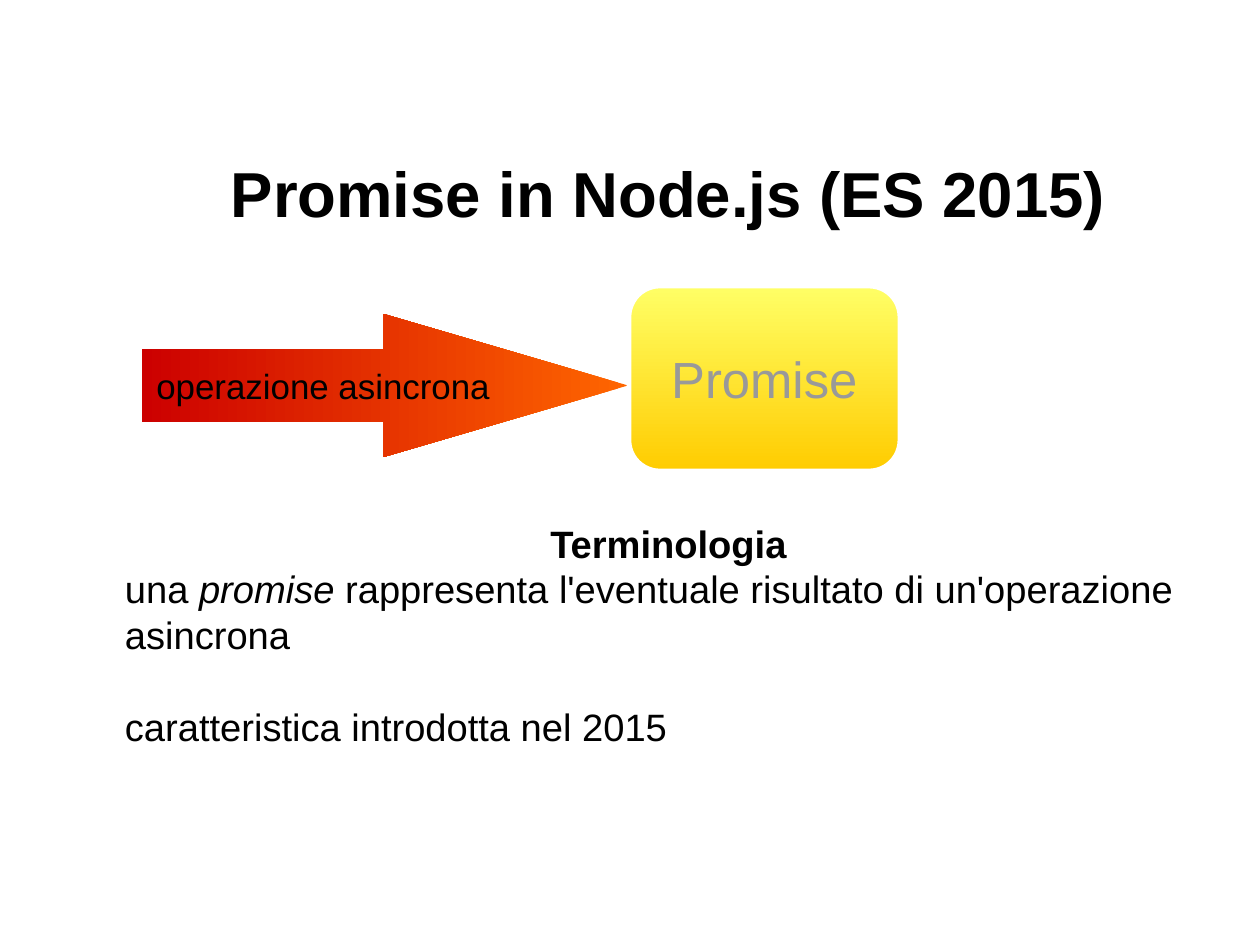
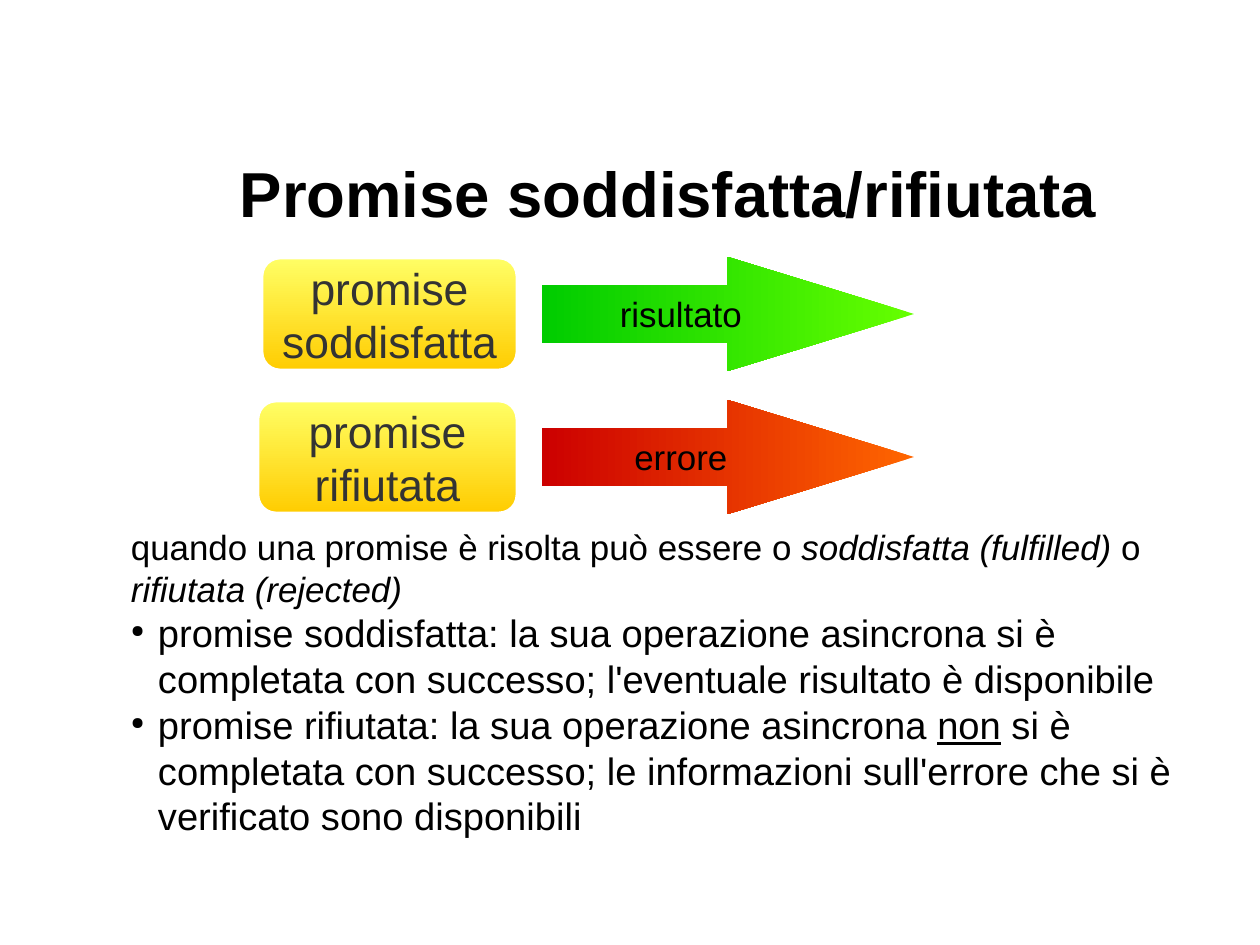
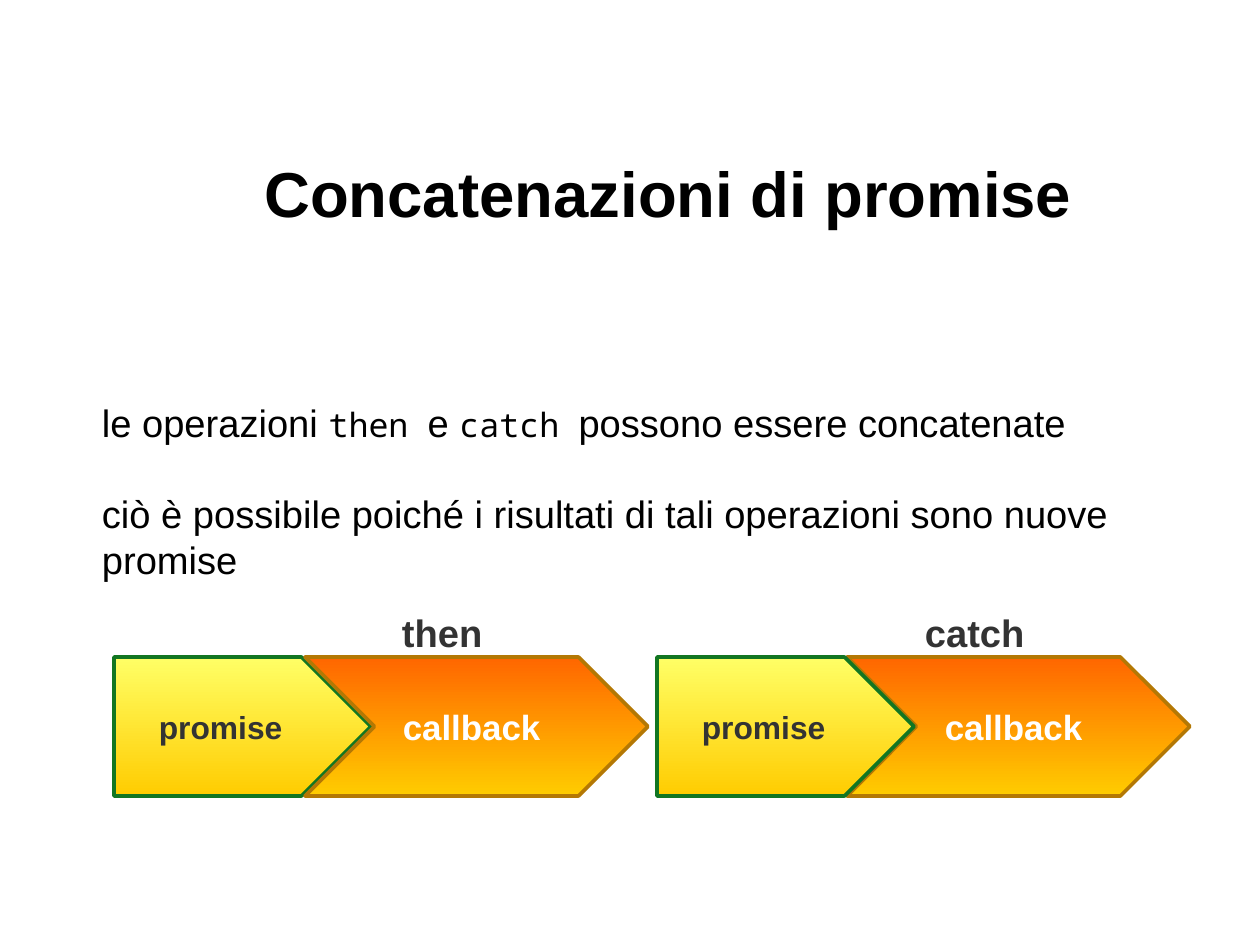
from pptx import Presentation
from pptx.dml.color import RGBColor
from pptx.enum.shapes import MSO_SHAPE
from pptx.enum.text import MSO_ANCHOR, PP_ALIGN
from pptx.oxml import parse_xml
from pptx.oxml.ns import nsdecls
from pptx.util import Pt

PX = 8000  # EMU per px
SLIDE_W, SLIDE_H = 1260, 945

ARROW, ROUNDED = MSO_SHAPE.LEFT_ARROW, MSO_SHAPE.ROUNDED_RECTANGLE
PLATE, CHEVRON = MSO_SHAPE.PENTAGON, MSO_SHAPE.CHEVRON
LEFT, CENTER = PP_ALIGN.LEFT, PP_ALIGN.CENTER
TOP, MIDDLE = MSO_ANCHOR.TOP, MSO_ANCHOR.MIDDLE

BLACK = RGBColor(0x00, 0x00, 0x00)
WHITE = RGBColor(0xFF, 0xFF, 0xFF)
DARK = RGBColor(0x33, 0x33, 0x33)
GREY = RGBColor(0x99, 0x99, 0x99)
PLATE_EDGE = RGBColor(0x12, 0x76, 0x22)
CHEVRON_EDGE = RGBColor(0xB4, 0x78, 0x04)

# Gradients run from head to tail in arrows, top to bottom elsewhere
ORANGE_RED = (RGBColor(0xFF, 0x66, 0x00), RGBColor(0xCC, 0x00, 0x00))
LIME_GREEN = (RGBColor(0x66, 0xFF, 0x00), RGBColor(0x00, 0xCC, 0x00))
YELLOW = (RGBColor(0xFF, 0xFF, 0x66), RGBColor(0xFF, 0xCC, 0x00))
ORANGE = (RGBColor(0xFF, 0x66, 0x00), RGBColor(0xFF, 0xCC, 0x00))
ALONG, DOWNWARD = 0, 270

BODY = {"name": "Arial", "size": Pt(24)}
INTRO = {"size": Pt(22)}
TITLE = {"name": "Arial", "size": Pt(40), "bold": True}
ARROW_TEXT = {"name": "Arial", "size": Pt(22)}
BOLD, ITALIC, UNDERLINE = {"bold": True}, {"italic": True}, {"underline": True}
CODE = {"name": "Noto Sans Mono", "size": Pt(21)}
CODE_SPACE = (" ", {**CODE, "size": Pt(20)})
LINE_GAP = Pt(29)
BULLET_INDENT = 27


def emu(*lengths):
    return [length * PX for length in lengths]


# Text: a paragraph is a list of runs, a run is a string or (string, format)
def add_bullet(paragraph):
    props = paragraph._p.get_or_add_pPr()
    props.set("marL", str(BULLET_INDENT * PX))
    props.set("indent", str(-BULLET_INDENT * PX))
    for tag in ('buClr %s><a:srgbClr val="000000"/></a:buClr',
                'buSzPct %s val="45000"/', 'buChar %s char="●"/'):
        props.append(parse_xml(f"<a:{tag % nsdecls('a')}>"))


def write_paragraph(paragraph, runs, base, color, align):
    paragraph.alignment = align
    for item in runs:
        words, extra = (item, {}) if isinstance(item, str) else item
        run = paragraph.add_run()
        run.text = words
        for key, value in {**base, **extra}.items():
            setattr(run.font, key, value)
        run.font.color.rgb = color


def write(frame, paragraphs, base, color=BLACK, align=LEFT, anchor=TOP):
    frame.word_wrap = True
    frame.vertical_anchor = anchor
    frame.margin_left = frame.margin_right = 11 * PX
    frame.margin_top = frame.margin_bottom = 6 * PX
    for index, runs in enumerate(paragraphs):
        paragraph = frame.add_paragraph() if index else frame.paragraphs[0]
        write_paragraph(paragraph, runs, base, color, align)
    return frame.paragraphs


def add_text(slide, box, paragraphs, base=BODY, **style):
    frame = slide.shapes.add_textbox(*emu(*box)).text_frame
    return write(frame, paragraphs, base, **style)


def add_title(slide, title):
    frame = slide.shapes.add_textbox(*emu(144, 158, 1048, 71)).text_frame
    paragraph = write(frame, [[title]], TITLE, align=CENTER, anchor=MIDDLE)[0]
    paragraph.line_spacing = 0.93
    frame.margin_left, frame.margin_right = emu(0, 0)
    frame.margin_top, frame.margin_bottom = emu(5, 0)


# Labelled shapes
def add_block(slide, kind, box, lines, base, color, gradient, angle,
              edge=None, edge_width=3, adjust=()):
    block = slide.shapes.add_shape(kind, *emu(*box))
    block.shadow.inherit = False
    for index, value in enumerate(adjust):
        block.adjustments[index] = value
    block.fill.gradient()
    block.fill.gradient_angle = angle
    for stop, shade in zip(block.fill.gradient_stops, gradient):
        stop.color.rgb = shade
    if edge is None:
        block.line.fill.background()
    else:
        block.line.color.rgb = edge
        block.line.width = Pt(edge_width)
    write(block.text_frame, [[line] for line in lines], base, color,
          CENTER, MIDDLE)
    return block


def add_arrow(slide, box, label, gradient, head):
    arrow = add_block(slide, ARROW, box, [label], ARROW_TEXT, BLACK, gradient,
                      ALONG, adjust=(0.506, head))
    arrow._element.spPr.xfrm.set("flipH", "1")  # point to the right


def add_promise(slide, box, lines, size, color):
    add_block(slide, ROUNDED, box, lines, {"name": "Arial", "size": Pt(size)},
              color, YELLOW, DOWNWARD, WHITE, adjust=(0.167,))


def add_link(slide, x, y, operation, label_x, chevron_x, plate_in_front):
    """A promise plate, the callback chevron it feeds, and the operation."""
    plate = (PLATE, (x, y, 257, 139), ["promise "],
             {"name": "Arial", "size": Pt(20), "bold": True}, DARK,
             YELLOW, DOWNWARD, PLATE_EDGE)
    callback = (CHEVRON, (x + chevron_x, y, 343, 139), ["callback "],
                {**ARROW_TEXT, **BOLD}, WHITE, ORANGE, DOWNWARD, CHEVRON_EDGE)
    order = (callback, plate) if plate_in_front else (plate, callback)
    for part in order:
        add_block(slide, *part, edge_width=2.3, adjust=(0.5,))
    add_text(slide, (x + label_x, y - 54, 143, 54), [[(operation, BOLD)]],
             color=DARK)


# Slides
def build_introduction(slide):
    add_title(slide, "Promise in Node.js (ES 2015)")
    heading, _, history = add_text(slide, (114, 514, 1109, 224), [
        [("Terminologia", BOLD)],
        ["una ", ("promise", ITALIC),
         " rappresenta l'eventuale risultato di un'operazione asincrona"],
        ["caratteristica introdotta nel 2015"],
    ])
    heading.alignment = CENTER
    history.space_before = LINE_GAP
    add_arrow(slide, (142, 314, 486, 143), "operazione asincrona",
              ORANGE_RED, 1.709)
    add_promise(slide, (629, 286, 271, 185), ["Promise"], 32, GREY)


def build_outcomes(slide):
    add_title(slide, "Promise soddisfatta/rifiutata")
    _, *cases = add_text(slide, (120, 520, 1109, 309), [
        [("quando una promise è risolta può essere o ", INTRO),
         ("soddisfatta (fulfilled)", {**INTRO, **ITALIC}), (" o ", INTRO),
         ("rifiutata (rejected)", {**INTRO, **ITALIC})],
        ["promise soddisfatta: la sua operazione asincrona si è completata "
         "con successo; l'eventuale risultato è disponibile"],
        ["promise rifiutata: la sua operazione asincrona ",
         ("non", UNDERLINE),
         " si è completata con successo; le informazioni sull'errore "
         "che si è verificato sono disponibili"],
    ])
    for case in cases:
        add_bullet(case)
    outcomes = (("soddisfatta", 261, "risultato", LIME_GREEN),
                ("rifiutata", 257, "errore", ORANGE_RED))
    for row, (state, x, yielded, gradient) in enumerate(outcomes):
        y = 257 + row * 143
        add_promise(slide, (x, y, 518 - x, 114), ["promise", state], 28, DARK)
        add_arrow(slide, (542, y, 372, 114), yielded, gradient, 1.634)


def build_chaining(slide):
    add_title(slide, "Concatenazioni di promise")
    _, reason = add_text(slide, (91, 393, 1109, 437), [
        ["le operazioni ", ("then", CODE), CODE_SPACE, "e ",
         ("catch", CODE), CODE_SPACE, "possono essere concatenate"],
        ["ciò è possibile poiché i risultati di tali operazioni sono "
         "nuove promise"],
    ])
    reason.space_before = LINE_GAP
    links = (("then", 277, 191, False), ("catch", 257, 190, True))
    for index, link in enumerate(links):
        add_link(slide, 114 + index * 543, 657, *link)


def main():
    deck = Presentation()
    deck.slide_width, deck.slide_height = emu(SLIDE_W, SLIDE_H)
    blank = deck.slide_layouts[6]
    for build in (build_introduction, build_outcomes, build_chaining):
        build(deck.slides.add_slide(blank))
    deck.save("out.pptx")


if __name__ == "__main__":
    main()
